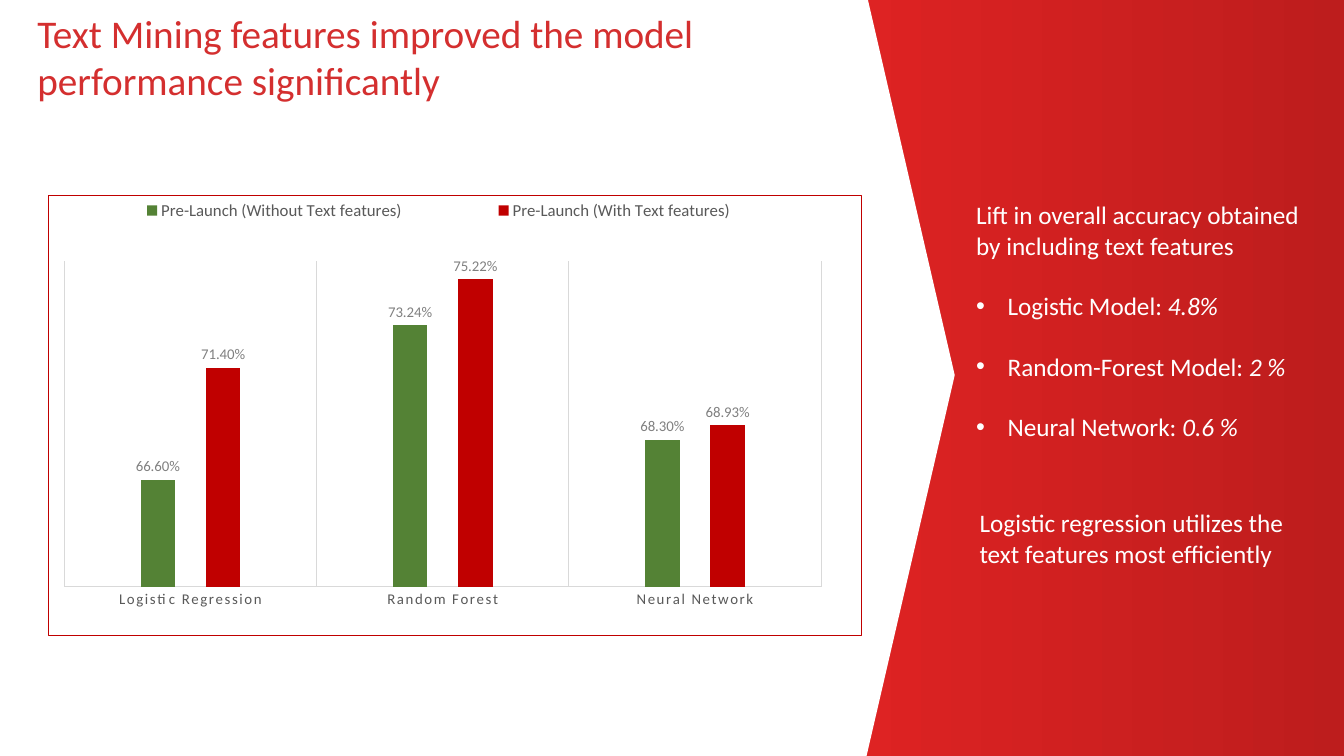
from lxml import etree
from pptx import Presentation
from pptx.chart.data import CategoryChartData
from pptx.dml.color import RGBColor
from pptx.enum.chart import XL_CHART_TYPE, XL_LABEL_POSITION as LABEL, XL_LEGEND_POSITION as LEGEND, XL_TICK_MARK as TICK
from pptx.enum.shapes import MSO_SHAPE
from pptx.enum.text import MSO_ANCHOR, MSO_AUTO_SIZE, PP_ALIGN
from pptx.oxml import parse_xml
from pptx.oxml.ns import nsdecls, qn
from pptx.util import Pt

WHITE = RGBColor(0xFF, 0xFF, 0xFF)
TITLE_RED = RGBColor(0xD4, 0x2F, 0x2F)
PANEL_DARK = RGBColor(0xBD, 0x1D, 0x1D)
PANEL_LIGHT = RGBColor(0xE0, 0x23, 0x23)
GREEN = RGBColor(0x54, 0x82, 0x35)
RED = RGBColor(0xC0, 0x00, 0x00)
GRID = RGBColor(0xD9, 0xD9, 0xD9)
AXIS_TEXT = RGBColor(0x59, 0x59, 0x59)
LABEL_TEXT = RGBColor(0x80, 0x80, 0x80)
FONT = "Calibri"
W, H = 960, 540


def set_font(font, size, color):
    font.name, font.size, font.color.rgb = FONT, Pt(size), color


def add_text(p, text, size=18, color=WHITE, value="", bullet=False, before=0):
    """Fill a paragraph, with an optional bullet and an italic value."""
    pPr = p._p.get_or_add_pPr()
    pPr.set("marL", str(Pt(22.5 if bullet else 0)))
    pPr.set("indent", str(Pt(-22.5 if bullet else 0)))
    if bullet:
        etree.SubElement(pPr, qn("a:buFont")).set("typeface", "Arial")
        etree.SubElement(pPr, qn("a:buChar")).set("char", "•")
    else:
        etree.SubElement(pPr, qn("a:buNone"))
    p.alignment = PP_ALIGN.LEFT
    p.space_before, p.space_after, p.line_spacing = Pt(before), Pt(0), 1.0
    for part, italic in ((text, False), (value, True)):
        if part:
            r = p.add_run()
            r.text = part
            set_font(r.font, size, color)
            r.font.italic = italic


prs = Presentation()
prs.slide_width, prs.slide_height = Pt(W), Pt(H)
s = prs.slides.add_slide(prs.slide_layouts[3])
title, lift, takeaway = s.placeholders

# Red panel with a white pointed area over it
panel = s.shapes.add_shape(MSO_SHAPE.RECTANGLE, Pt(593), Pt(0), Pt(W - 593), Pt(H))
panel.fill.gradient()
panel.fill.gradient_angle = 180
for stop, color in zip(panel.fill.gradient_stops, (PANEL_DARK, PANEL_LIGHT)):
    stop.color.rgb = color
builder = s.shapes.build_freeform(0, 0, scale=Pt(1))
builder.add_line_segments([(620.5, 0), (682, 268.5), (619, H), (0, H)])
pointer = builder.convert_to_shape()
pointer.fill.solid()
pointer.fill.fore_color.rgb = WHITE
for sp in (panel, pointer):
    sp.line.fill.background()
    sp.shadow.inherit = False
    title.element.addprevious(sp.element)

# Title and side text
for sp, box in ((title, (19.5, 3, 574, 75)), (lift, (690, 139, 260.5, 182)),
                (takeaway, (692.5, 359, 260.5, 51))):
    sp.left, sp.top, sp.width, sp.height = map(Pt, box)
    tf = sp.text_frame
    tf.word_wrap = True
    tf.auto_size = MSO_AUTO_SIZE.NONE
    tf.vertical_anchor = MSO_ANCHOR.TOP

add_text(title.text_frame.paragraphs[0],
         "Text Mining features improved the model performance significantly", size=28, color=TITLE_RED)
add_text(lift.text_frame.paragraphs[0], "Lift in overall accuracy obtained by including text features")
for model, gain in (("Logistic Model: ", "4.8%"), ("Random-Forest Model: ", "2 %"), ("Neural Network: ", "0.6 %")):
    add_text(lift.text_frame.add_paragraph(), model, value=gain, bullet=True, before=21.6)
add_text(takeaway.text_frame.paragraphs[0], "Logistic regression utilizes the text features most efficiently")

# Accuracy chart
data = CategoryChartData(number_format="0.00%")
data.categories = ["Logistic Regression", "Random Forest", "Neural Network"]
data.add_series("Pre-Launch (Without Text features)", (0.666, 0.7324, 0.683))
data.add_series("Pre-Launch (With Text features)", (0.714, 0.7522, 0.6893))
chart = s.shapes.add_chart(XL_CHART_TYPE.COLUMN_CLUSTERED, Pt(34), Pt(139), Pt(582), Pt(315), data).chart
set_font(chart.font, 10, RGBColor(0, 0, 0))
chart.has_title = False
chart.has_legend = True
chart.legend.position = LEGEND.TOP
chart.legend.include_in_layout = False
set_font(chart.legend.font, 12, AXIS_TEXT)

# Columns and value labels
plot = chart.plots[0]
plot.gap_width, plot.overlap, plot.vary_by_categories = 444, -90, False
for series, color in zip(plot.series, (GREEN, RED)):
    series.format.fill.solid()
    series.format.fill.fore_color.rgb = color
    series.invert_if_negative = False
    labels = series.data_labels
    labels.show_value = True
    labels.position = LABEL.OUTSIDE_END
    labels.number_format, labels.number_format_is_linked = "0.00%", False
    set_font(labels.font, 10.6, LABEL_TEXT)

# Axes
cat_axis, val_axis = chart.category_axis, chart.value_axis
cat_axis.major_tick_mark = TICK.NONE
cat_axis.has_major_gridlines = True
for line in (cat_axis.format.line, cat_axis.major_gridlines.format.line):
    line.color.rgb, line.width = GRID, Pt(0.75)
set_font(cat_axis.tick_labels.font, 10.6, AXIS_TEXT)
val_axis.minimum_scale, val_axis.maximum_scale = 0.62, 0.76
val_axis.has_major_gridlines = False
val_axis.visible = False

# Letter spacing, frame and fixed layout of the chart
root = chart.element
root.xpath(".//c:catAx//a:defRPr")[0].set("spc", "120")
root.find(qn("c:chart")).addnext(parse_xml(
    f'<c:spPr {nsdecls("c", "a")}><a:noFill/><a:ln w="{Pt(0.75)}"><a:solidFill>'
    f'<a:srgbClr val="{RED}"/></a:solidFill></a:ln></c:spPr>'))
plot_area, legend = root.xpath(".//c:plotArea")[0], root.xpath(".//c:legend")[0]
for part, position, target, box in ((plot_area, 0, '<c:layoutTarget val="inner"/>', (0.02, 0.15, 0.93, 0.74)),
                                    (legend, 1, "", (0.01, 0, 0.94, 0.07))):
    for old in part.findall(qn("c:layout")):
        part.remove(old)
    sizes = "".join(f'<c:{k} val="{v}"/>' for k, v in zip("xywh", box))
    part.insert(position, parse_xml(
        f'<c:layout {nsdecls("c")}><c:manualLayout>{target}<c:xMode val="edge"/><c:yMode val="edge"/>'
        f'{sizes}</c:manualLayout></c:layout>'))

prs.save("out.pptx")
